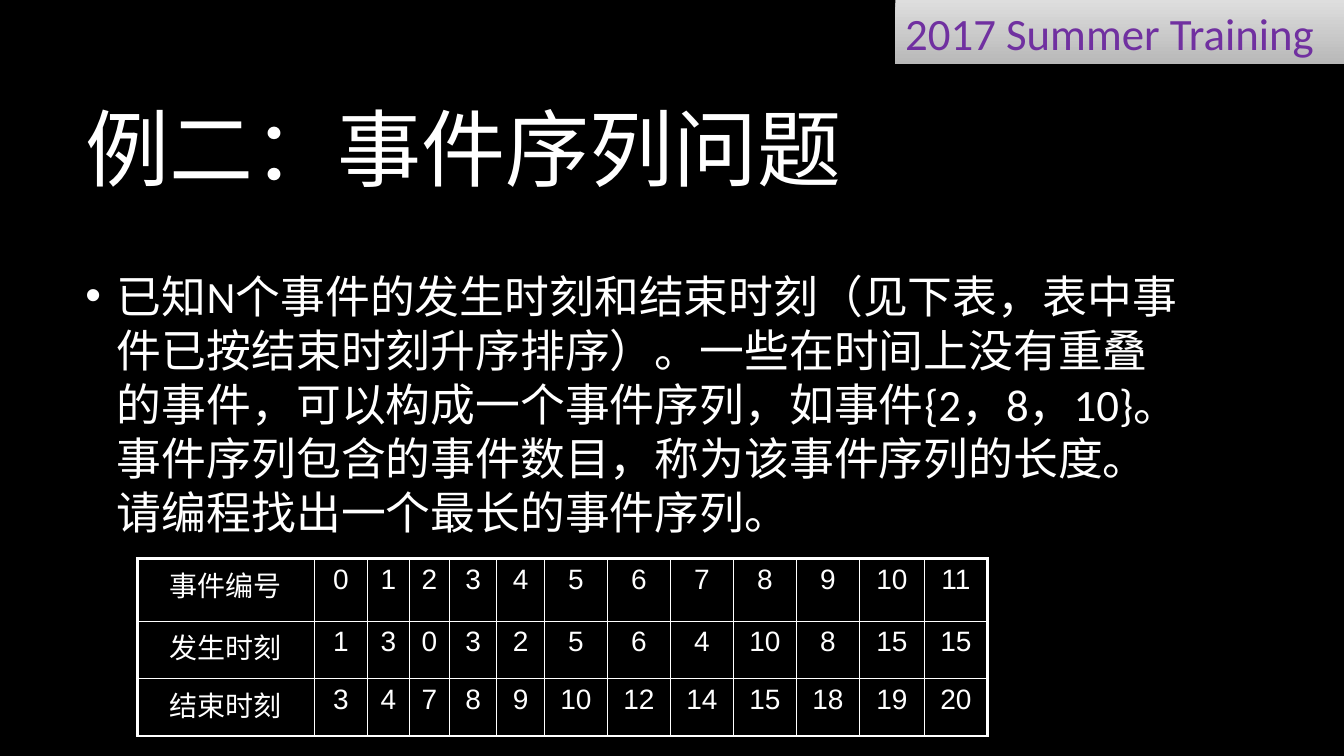
import pptx
import pptx.dml.color
import pptx.enum.shapes
import pptx.enum.text
import pptx.oxml.ns
import pptx.util
from lxml import etree

Pt = pptx.util.Pt
qn = pptx.oxml.ns.qn
ANCHOR = pptx.enum.text.MSO_ANCHOR
ALIGN = pptx.enum.text.PP_ALIGN
COLORS = {
    "background": "000000",
    "text": "FFFFFF",
    "banner_text": "7030A0",
    "banner_top": "DEDEDE",
    "banner_bottom": "B8B8B8",
}
CJK_FONT = "Noto Sans CJK JP"


def rgb(name):
    return pptx.dml.color.RGBColor.from_string(COLORS[name])


def write(frame, text, size, font, color="text", **frame_format):
    """Fill a text frame with one paragraph and return that paragraph."""
    for key, value in frame_format.items():
        setattr(frame, key, value)
    paragraph = frame.paragraphs[0]
    run = paragraph.add_run()
    run.text = text
    for key, value in {"size": Pt(size), "name": font}.items():
        setattr(run.font, key, value)
    run.font.color.rgb = rgb(color)
    run.font._element.find(qn("a:latin")).addnext(
        etree.Element(qn("a:ea"), typeface=CJK_FONT))
    return paragraph


deck = pptx.Presentation()
deck.slide_width, deck.slide_height = Pt(960), Pt(540)
slide = deck.slides.add_slide(deck.slide_layouts[6])
slide.background.fill.solid()
slide.background.fill.fore_color.rgb = rgb("background")

# Banner in the top right corner
banner = slide.shapes.add_shape(
    pptx.enum.shapes.MSO_SHAPE.RECTANGLE, Pt(639.5), Pt(0), Pt(320.5), Pt(46))
banner.shadow.inherit = False
banner.line.fill.background()
banner.fill.gradient()
banner.fill.gradient_angle = 270
for stop, name in zip(banner.fill.gradient_stops, ("banner_top", "banner_bottom")):
    stop.color.rgb = rgb(name)
label = write(banner.text_frame, "2017 Summer Training", 32, "Calibri", "banner_text",
              word_wrap=True, vertical_anchor=ANCHOR.MIDDLE)
label.alignment = ALIGN.LEFT

# Title and problem statement
title = slide.shapes.add_textbox(Pt(54), Pt(48), Pt(798), Pt(114.5))
write(title.text_frame, "例二：事件序列问题", 60, CJK_FONT,
      word_wrap=True, vertical_anchor=ANCHOR.MIDDLE)

problem = slide.shapes.add_textbox(Pt(54), Pt(168.5), Pt(798), Pt(287))
statement = write(
    problem.text_frame,
    "已知N个事件的发生时刻和结束时刻（见下表，表中事件已按结束时刻升序排序）。"
    "一些在时间上没有重叠的事件，可以构成一个事件序列，如事件{2，8，10}。"
    "事件序列包含的事件数目，称为该事件序列的长度。请编程找出一个最长的事件序列。",
    32, "Calibri", word_wrap=True, vertical_anchor=ANCHOR.TOP, margin_top=Pt(23))
statement.line_spacing = Pt(38.6)
bullet = statement._p.get_or_add_pPr()
bullet.set("marL", str(Pt(22.5)))
bullet.set("indent", str(-Pt(22.5)))
etree.SubElement(bullet, qn("a:buFont"), typeface="Arial")
etree.SubElement(bullet, qn("a:buChar"), char="•")

# Event table: a thick outer frame around thin inner lines
events = [
    ["事件编号", *range(12)],
    ["发生时刻", 1, 3, 0, 3, 2, 5, 6, 4, 10, 8, 15, 15],
    ["结束时刻", 3, 4, 7, 8, 9, 10, 12, 14, 15, 18, 19, 20],
]
column_widths = [126.5, 38, 30, 28.5, 34, 34] + [45] * 5 + [46.5, 45]
row_heights = [44.8, 41, 41]
last_row, last_column = len(row_heights) - 1, len(column_widths) - 1
table = slide.shapes.add_table(
    len(row_heights), len(column_widths), Pt(98), Pt(399),
    Pt(sum(column_widths)), Pt(sum(row_heights))).table
for column, width in zip(table.columns, column_widths):
    column.width = Pt(width)
for row, height in zip(table.rows, row_heights):
    row.height = Pt(height)

for r, values in enumerate(events):
    for c, value in enumerate(values):
        cell = table.cell(r, c)
        write(cell.text_frame, str(value), 20, "Arial").alignment = ALIGN.CENTER
        on_frame = {"lnL": c == 0, "lnR": c == last_column,
                    "lnT": r == 0, "lnB": r == last_row}
        for side, thick in on_frame.items():
            border = etree.SubElement(cell._tc.get_or_add_tcPr(), qn(f"a:{side}"),
                                      w=str(Pt(2.25 if thick else 1)))
            paint = etree.SubElement(border, qn("a:solidFill"))
            etree.SubElement(paint, qn("a:srgbClr"), val=COLORS["text"])
        cell.fill.background()

deck.save("out.pptx")
